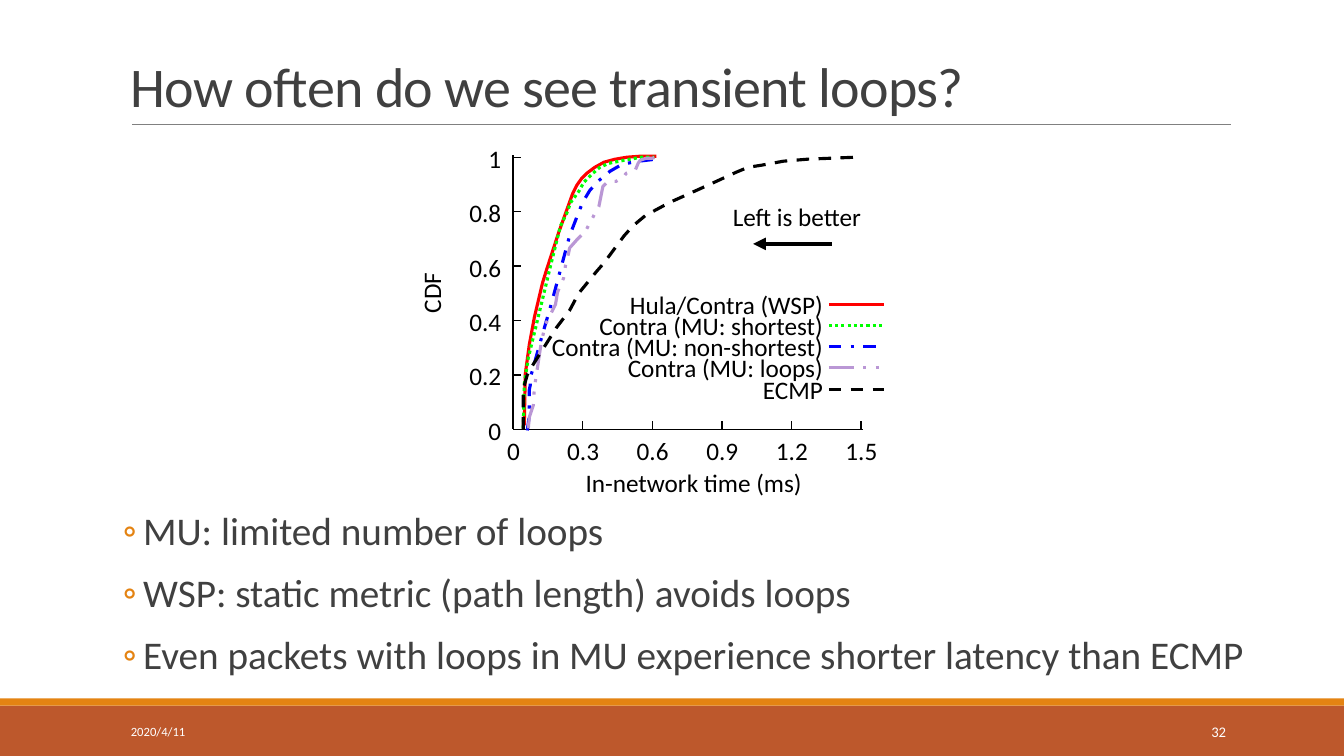
"""Build a slide on transient loops with a hand-drawn CDF plot."""
from dataclasses import dataclass

from lxml import etree
from pptx import Presentation
from pptx import util as u
from pptx.dml.color import RGBColor
from pptx.enum import dml, shapes, text
from pptx.oxml.ns import qn

LEFT, RIGHT = text.PP_ALIGN.LEFT, text.PP_ALIGN.RIGHT
TOP, MID, LOW = (text.MSO_ANCHOR.TOP, text.MSO_ANCHOR.MIDDLE,
                 text.MSO_ANCHOR.BOTTOM)
DASH = dml.MSO_LINE


@dataclass(frozen=True)
class Theme:
    """Colours, font and type sizes."""
    font: str = "Calibri"
    ink: str = "404040"
    black: str = "000000"
    white: str = "FFFFFF"
    rule: str = "808080"
    gold: str = "E48312"
    rust: str = "BD582C"
    red: str = "FF0000"
    green: str = "00FF00"
    blue: str = "0000FF"
    lilac: str = "BA97D5"
    title: float = 40
    body: float = 28
    plot: float = 18
    date: float = 9
    page: float = 10.5


@dataclass(frozen=True)
class Box:
    """A frame in inches."""
    x: float
    y: float
    w: float
    h: float = 0.4


@dataclass(frozen=True)
class Curve:
    """A plotted series with points in hundredths of an inch."""
    name: str
    width: float
    color: str
    dash: DASH | None
    pts: list[tuple[int, int]]


LOOK = Theme()
CURVES = [
    Curve("Hula/Contra (WSP)", 2.14, LOOK.red, None, [
        (520, 422), (521, 371), (525, 342), (530, 315), (538, 281),
        (542, 268), (554, 231), (568, 192), (572, 184), (577, 177),
        (582, 172), (590, 166), (599, 161), (610, 158), (622, 156),
        (635, 155), (651, 155)]),
    Curve("Contra (MU: shortest)", 2.44, LOOK.green, DASH.ROUND_DOT, [
        (519, 425), (520, 381), (524, 355), (541, 285), (545, 268),
        (556, 224), (562, 212), (566, 201), (574, 190), (579, 181),
        (588, 172), (595, 166), (604, 162), (619, 159), (636, 156),
        (649, 156)]),
    Curve("Contra (MU: non-shortest)", 2.92, LOOK.blue, DASH.DASH_DOT, [
        (523, 427), (525, 413), (525, 387), (526, 382), (526, 375),
        (538, 332), (547, 301), (565, 234), (575, 208), (579, 199),
        (585, 189), (593, 180), (605, 170), (617, 163), (633, 160),
        (650, 158)]),
    Curve("Contra (MU: loops)", 2.16, LOOK.lilac, DASH.DASH_DOT_DOT, [
        (524, 425), (525, 414), (529, 402), (530, 385), (532, 372),
        (535, 352), (537, 339), (541, 322), (544, 316), (549, 306),
        (551, 302), (553, 290), (559, 276), (561, 263), (564, 251),
        (565, 246), (573, 237), (577, 233), (579, 233), (583, 225),
        (590, 212), (594, 205), (598, 185), (603, 180), (611, 180),
        (616, 177), (619, 175), (621, 172), (626, 170), (630, 169),
        (633, 162), (635, 159), (641, 157), (647, 157), (650, 156)]),
    Curve("ECMP", 0.8, LOOK.black, DASH.DASH, [
        (519, 426), (519, 386), (523, 372), (528, 363), (552, 325),
        (565, 308), (574, 291), (592, 269), (599, 261), (619, 234),
        (628, 224), (640, 214), (664, 201), (704, 183), (730, 171),
        (742, 166), (755, 164), (777, 160), (801, 158), (849, 156)]),
]
POINTS = ["MU: limited number of loops",
          "WSP: static metric (path length) avoids loops",
          "Even packets with loops in MU experience shorter latency than ECMP"]


def inch(size: float) -> u.Cm:
    """Turn inches into a length."""
    return u.Cm(size * 2.54)


def frame(box: Box) -> list[u.Cm]:
    """Turn a box into four lengths."""
    return [inch(v) for v in (box.x, box.y, box.w, box.h)]


def rgb(code: str) -> RGBColor:
    """Turn a hex code into a colour."""
    return RGBColor.from_string(code)


def ink(line, color: str, width: float, dash: DASH | None = None) -> None:
    """Style a line."""
    line.color.rgb = rgb(color)
    line.width = u.Pt(width)
    if dash is not None:
        line.dash_style = dash


def bar(slide, box: Box, color: str) -> None:
    """Draw a plain filled bar."""
    shape = slide.shapes.add_shape(shapes.MSO_SHAPE.RECTANGLE, *frame(box))
    shape.shadow.inherit = False
    shape.fill.solid()
    shape.fill.fore_color.rgb = rgb(color)
    shape.line.fill.background()


def rule(slide, x: float, y: float, to_x: float, to_y: float, color: str,
         width: float, dash: DASH | None = None, arrow: bool = False) -> None:
    """Draw a straight line, with an arrowhead if asked."""
    link = slide.shapes.add_connector(
        shapes.MSO_CONNECTOR.STRAIGHT, *map(inch, (x, y, to_x, to_y)))
    ink(link.line, color, width, dash)
    props = link._element.spPr
    if arrow:
        tip = etree.SubElement(props.find(qn("a:ln")), qn("a:tailEnd"))
        tip.set("type", "triangle")
    etree.SubElement(props, qn("a:effectLst"))


def write(para, words: str, size: float, color: str):
    """Add one run of text."""
    run = para.add_run()
    run.text = words
    run.font.name = LOOK.font
    run.font.size = u.Pt(size)
    run.font.color.rgb = rgb(color)
    return run


def label(slide, box: Box, words: str, size: float = LOOK.plot,
          color: str = LOOK.black, align=LEFT, anchor=TOP,
          wrap: bool = False, turn: float = 0):
    """Add a text box holding one line."""
    shape = slide.shapes.add_textbox(*frame(box))
    shape.rotation = turn
    body = shape.text_frame
    body.word_wrap = wrap
    body.auto_size = (text.MSO_AUTO_SIZE.NONE if wrap
                      else text.MSO_AUTO_SIZE.SHAPE_TO_FIT_TEXT)
    body.vertical_anchor = anchor
    para = body.paragraphs[0]
    para.alignment = align
    return para, write(para, words, size, color)


def head(slide) -> None:
    """Draw the title and the bars of the page."""
    bar(slide, Box(0, 7, 13.33, 0.5), LOOK.rust)
    bar(slide, Box(0, 6.93, 13.33, 0.07), LOOK.gold)
    rule(slide, 1.31, 1.23, 12.21, 1.23, LOOK.rule, 0.5)
    para, run = label(slide, Box(1.2, 0.31, 11, 0.92),
                      "How often do we see transient loops?",
                      LOOK.title, LOOK.ink, anchor=LOW, wrap=True)
    para.line_spacing = 0.85
    run._r.get_or_add_rPr().set("spc", "-50")
    label(slide, Box(1.2, 7.06, 2.7), "2020/4/11", LOOK.date, LOOK.white,
          anchor=MID, wrap=True)
    label(slide, Box(10.83, 7.06, 1.43), "32", LOOK.page, LOOK.white,
          RIGHT, MID, True)


def claims(slide) -> None:
    """Write the bulleted list."""
    body = slide.shapes.add_textbox(
        *frame(Box(1.2, 5.03, 11.77, 1.76))).text_frame
    body.word_wrap = True
    body.margin_left = body.margin_right = 0
    for i, words in enumerate(POINTS):
        para = body.add_paragraph() if i else body.paragraphs[0]
        props = para._p.get_or_add_pPr()
        props.set("marL", str(inch(0.22)))
        props.set("indent", str(inch(-0.2)))
        tint = etree.SubElement(props, qn("a:buClr"))
        etree.SubElement(tint, qn("a:srgbClr")).set("val", LOOK.gold)
        etree.SubElement(props, qn("a:buFont")).set("typeface", LOOK.font)
        etree.SubElement(props, qn("a:buChar")).set("char", "◦")
        para.line_spacing = 0.9
        para.space_before = u.Pt(12 if i else 0)
        para.space_after = u.Pt(2)
        write(para, words, LOOK.body, LOOK.ink)


def axes(slide) -> None:
    """Draw both axes with ticks and labels."""
    x, y, step, rise = 5.09, 4.26, 0.69, 0.54
    rule(slide, x, y, 8.56, y, LOOK.black, 1)
    rule(slide, x, 1.54, x, y, LOOK.black, 1)
    for i in range(6):
        across, up = x + i * step, y - i * rise
        if i:
            rule(slide, across, y - 0.08, across, y, LOOK.black, 1)
            rule(slide, x, up, x + 0.08, up, LOOK.black, 1)
        time, share = f"{i * 0.3:.2g}", f"{i * 0.2:.2g}"
        wide, tall = (0.33 if len(v) == 1 else 0.52 for v in (time, share))
        label(slide, Box(across - wide / 2, 4.27, wide), time, align=RIGHT)
        label(slide, Box(5.07 - tall, up - 0.19, tall), share, align=RIGHT)
    label(slide, Box(5.71, 4.59, 2.37), "In-network time (ms)")
    label(slide, Box(3.97, 2.7, 0.61), "CDF", turn=270)


def plot(slide) -> None:
    """Draw the curves, their legend and the hint."""
    for i, curve in enumerate(CURVES):
        pen = slide.shapes.build_freeform(*curve.pts[0], scale=inch(0.01))
        pen.add_line_segments(curve.pts[1:], close=False)
        shape = pen.convert_to_shape()
        shape.shadow.inherit = False
        shape.fill.background()
        ink(shape.line, curve.color, 2.25, curve.dash)
        y = 3.02 + i * 0.21
        rule(slide, 8.22, y, 8.77, y, curve.color, 2.25, curve.dash)
        label(slide, Box(8.26 - curve.width, y - 0.2, curve.width),
              curve.name, align=RIGHT)
    label(slide, Box(7.17, 1.95, 1.5), "Left is better")
    rule(slide, 8.25, 2.42, 7.47, 2.42, LOOK.black, 3, arrow=True)


deck = Presentation()
deck.slide_width, deck.slide_height = inch(13.33), inch(7.5)
page = deck.slides.add_slide(deck.slide_layouts[6])
for draw in (head, claims, axes, plot):
    draw(page)
deck.save("out.pptx")
